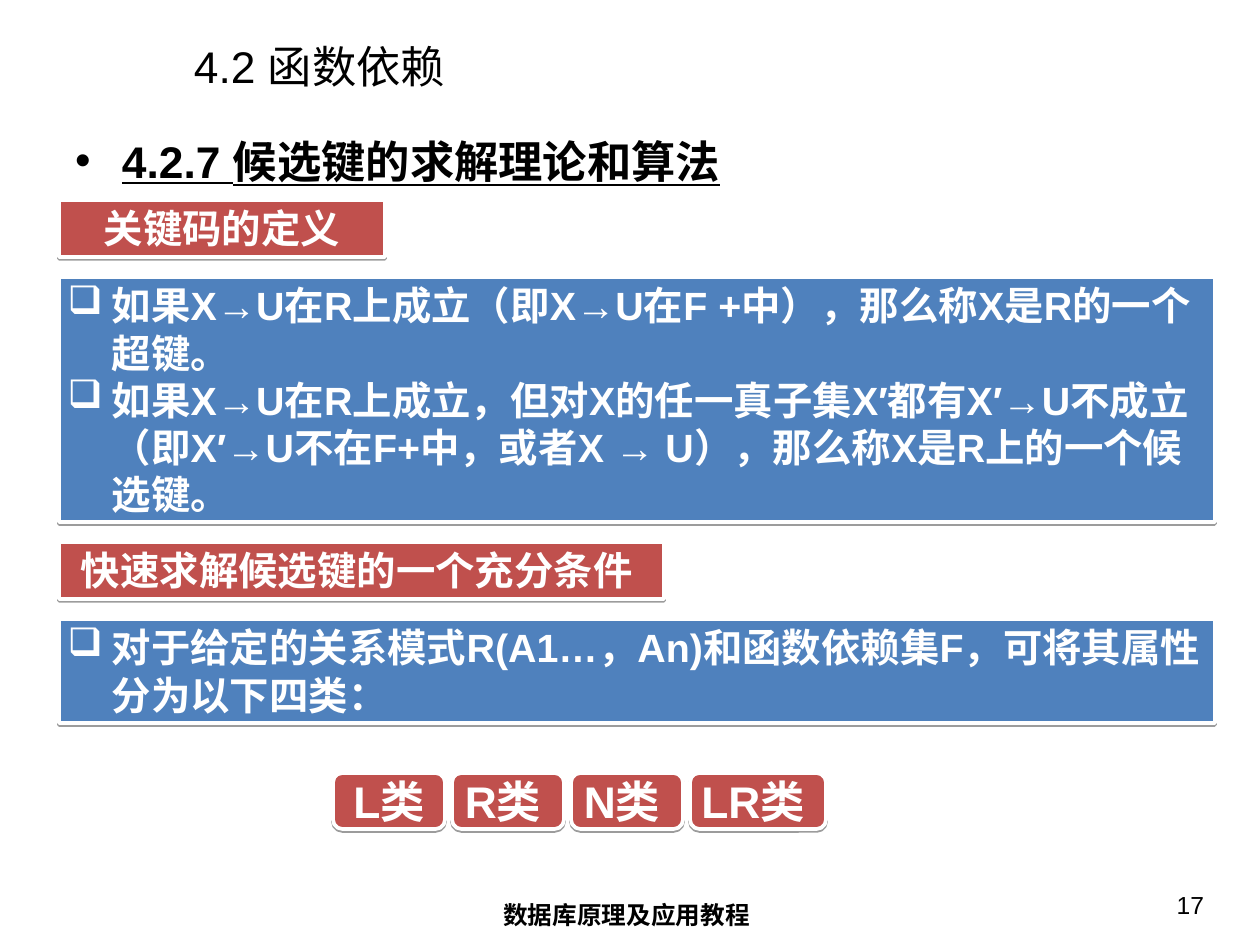
"""Build the slide on candidate keys in functional dependency theory."""
from lxml import etree
from pptx import Presentation, util as u
from pptx.dml.color import RGBColor
from pptx.enum import shapes, text
from pptx.oxml import ns

PX = 10320
SLIDE = (1260, 945)
BLACK, WHITE, RED, BLUE = "000000", "FFFFFF", "C0504D", "4F81BD"
LEFT, CENTER, RIGHT = text.PP_ALIGN.LEFT, text.PP_ALIGN.CENTER, text.PP_ALIGN.RIGHT

TITLE = ("4.2 函数依赖", (182, 40, 1048, 51))
HEADING = ("4.2.7 候选键的求解理论和算法", (63, 128, 1134, 79))
FOOTERS = [
    ("数据库原理及应用教程", (427, 894, 399, 49), CENTER, True),
    ("17", (922, 884, 294, 49), RIGHT, False),
]
BAND_LEFT = 59
LABELS = [
    ("关键码的定义", 200, 326),
    ("快速求解候选键的一个充分条件 ", 542, 605),
]
LABEL_HEIGHT, PANEL_WIDTH = 57, 1156
PANELS = [
    (277, 245, [
        "如果X→U在R上成立（即X→U在F +中），那么称X是R的一个超键。",
        "如果X→U在R上成立，但对X的任一真子集X′都有X′→U不成立（即X′→U不在F+中，或者X → U），那么称X是R上的一个候选键。",
    ]),
    (619, 104, ["对于给定的关系模式R(A1…，An)和函数依赖集F，可将其属性分为以下四类："]),
]
CLASSES = [("L类", 112), ("R类 ", 112), ("N类 ", 112), ("LR类 ", 136)]
CLASS_LEFT, CLASS_TOP, CLASS_HEIGHT, CLASS_GAP = 333, 773, 56, 7


def color(value):
    return RGBColor.from_string(value)


def add_element(parent, tag, **attributes):
    element = etree.SubElement(parent, ns.qn(tag))
    for name, value in attributes.items():
        element.set(name, str(value))
    return element


def place(box, area):
    box.left, box.top, box.width, box.height = (value * PX for value in area)


def write(box, lines, size, ink, align=LEFT, bold=True, bullet=None, indent=0):
    frame = box.text_frame
    for index, line in enumerate(lines):
        para = frame.add_paragraph() if index else frame.paragraphs[0]
        para.text = line
        para.alignment = align
        para.space_before = u.Pt(0)
        if bullet:
            properties = para._p.get_or_add_pPr()
            properties.set("marL", str(indent * PX))
            properties.set("indent", str(-indent * PX))
            add_element(add_element(properties, "a:buClr"), "a:srgbClr", val=ink)
            add_element(properties, "a:buChar", char=bullet)
        para.font.name = "Arial"
        para.font.size = u.Pt(size)
        para.font.bold = bold
        para.font.color.rgb = color(ink)


def frame_text(box, anchor=text.MSO_ANCHOR.TOP):
    frame = box.text_frame
    frame.word_wrap = True
    frame.auto_size = text.MSO_AUTO_SIZE.NONE
    frame.vertical_anchor = anchor
    frame.margin_left = frame.margin_right = 12 * PX
    frame.margin_top = frame.margin_bottom = 6 * PX


def add_block(page, kind, area, fill, anchor=text.MSO_ANCHOR.TOP, wrap=True):
    box = page.shapes.add_shape(kind, *(value * PX for value in area))
    box.fill.solid()
    box.fill.fore_color.rgb = color(fill)
    box.line.color.rgb = color(WHITE)
    box.line.width = u.Pt(3)
    box.shadow.inherit = False
    effects = box._element.spPr.find(ns.qn("a:effectLst"))
    shadow = add_element(effects, "a:outerShdw", blurRad=0, dist=u.Pt(1.6),
                         dir=5400000, rotWithShape=0)
    add_element(add_element(shadow, "a:srgbClr", val=BLACK), "a:alpha", val=38000)
    box.text_frame.word_wrap = wrap
    box.text_frame.vertical_anchor = anchor
    return box


def main():
    deck = Presentation()
    deck.slide_width, deck.slide_height = (value * PX for value in SLIDE)
    page = deck.slides.add_slide(deck.slide_layouts[1])

    title, heading = page.shapes.title, page.placeholders[1]
    place(title, TITLE[1])
    frame_text(title, text.MSO_ANCHOR.MIDDLE)
    write(title, [TITLE[0]], 36, BLACK, bold=False)
    place(heading, HEADING[1])
    frame_text(heading)
    write(heading, [HEADING[0]], 36, BLACK, bullet="•", indent=47)
    heading.text_frame.paragraphs[0].font.underline = True

    for words, area, align, bold in FOOTERS:
        box = page.shapes.add_textbox(*(value * PX for value in area))
        frame_text(box)
        write(box, [words], 20, BLACK, align, bold)

    rectangle = shapes.MSO_SHAPE.RECTANGLE
    for words, top, width in LABELS:
        box = add_block(page, rectangle, (BAND_LEFT, top, width, LABEL_HEIGHT), RED)
        write(box, [words], 32, WHITE, CENTER)
    for top, height, lines in PANELS:
        box = add_block(page, rectangle, (BAND_LEFT, top, PANEL_WIDTH, height), BLUE)
        write(box, lines, 32, WHITE, bullet="❑", indent=44)

    left = CLASS_LEFT
    for words, width in CLASSES:
        box = add_block(page, shapes.MSO_SHAPE.FLOWCHART_ALTERNATE_PROCESS,
                        (left, CLASS_TOP, width, CLASS_HEIGHT), RED,
                        text.MSO_ANCHOR.MIDDLE, wrap=False)
        write(box, [words], 36, WHITE, CENTER)
        left += width + CLASS_GAP

    deck.save("out.pptx")


if __name__ == "__main__":
    main()
